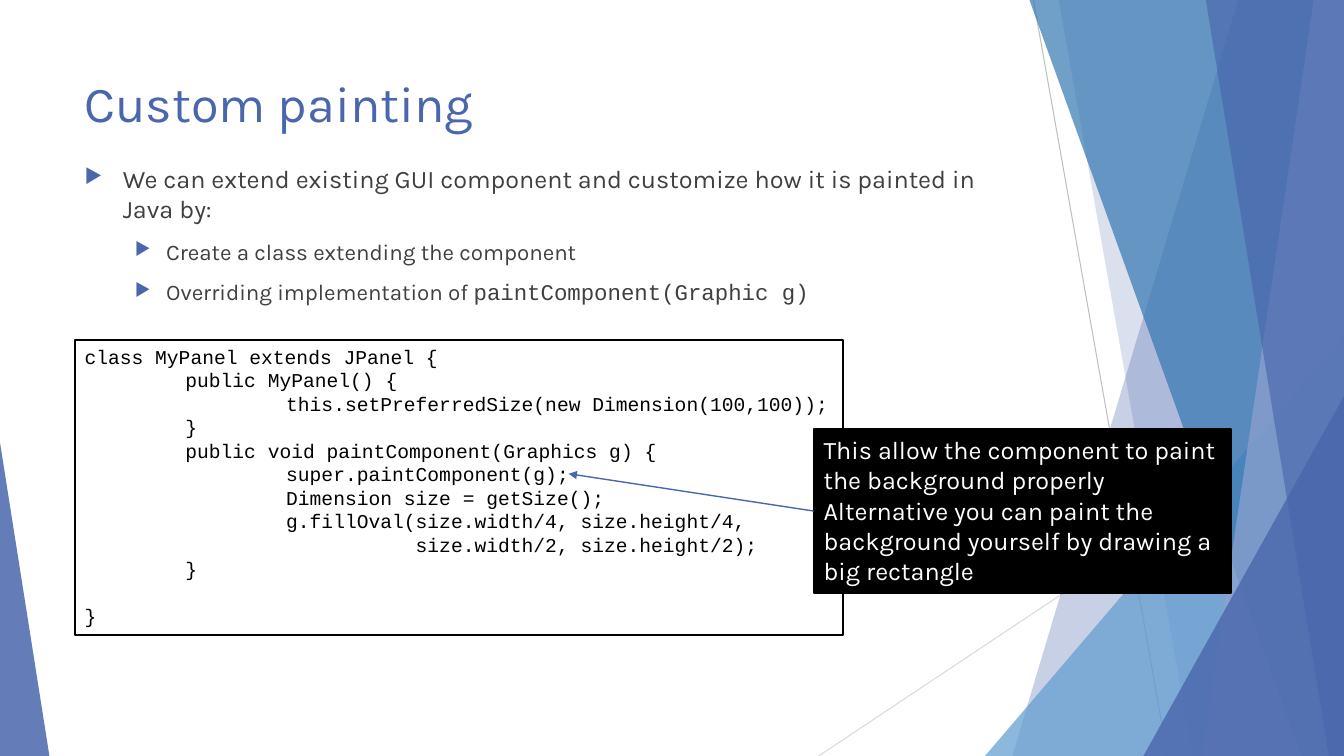
from lxml import etree
from pptx import Presentation
from pptx.dml.color import RGBColor
from pptx.enum.shapes import MSO_CONNECTOR as Connector, MSO_SHAPE as Shape
from pptx.enum.text import MSO_ANCHOR as Anchor, PP_ALIGN as Align
from pptx.oxml.ns import qn
from pptx.util import Inches, Pt

# Content
WIDTH, HEIGHT = 13.33, 7.5
BODY_FONT, CODE_FONT = "Karla", "Courier New"
BLUE, GREY, BLACK, WHITE = "4A66AC", "404040", "000000", "FFFFFF"

TITLE = "Custom painting"
BULLETS = [  # level, [(text, font)]
    (0, [("We can extend existing GUI component and customize how it is painted in Java by:", BODY_FONT)]),
    (1, [("Create a class extending the component", BODY_FONT)]),
    (1, [("Overriding implementation of ", BODY_FONT), ("paintComponent(Graphic g)", CODE_FONT)]),
]
LEVELS = [(0.38, 0.38, 18), (0.81, 0.31, 16)]  # indent, hanging, size
CODE_TABS = [1, 2]  # tab stops
CODE = [
    "class MyPanel extends JPanel {",
    "\tpublic MyPanel() {",
    "\t\tthis.setPreferredSize(new Dimension(100,100));",
    "\t}",
    "\tpublic void paintComponent(Graphics g) {",
    "\t\tsuper.paintComponent(g);",
    "\t\tDimension size = getSize();",
    "\t\tg.fillOval(size.width/4, size.height/4,",
    "\t\t           size.width/2, size.height/2);",
    "\t}",
    "\t",
    "}",
]
CALLOUT = [
    "This allow the component to paint the background properly",
    "Alternative you can paint the background yourself by drawing a big rectangle",
]

# Backdrop: bands reach the right edge, wedges stand on the bottom edge
HAIRLINES = [((10.25, 0), (11.58, HEIGHT), "BFBFBF"), ((WIDTH, 4.03), (8.12, HEIGHT), "D9D9D9")]
FACETS = [  # band: top x, bottom x; wedge: left, width, height, apex
    ("band", (12.28, 10.04), BLUE, 30),
    ("band", (10.5, 11.83), BLUE, 20),
    ("wedge", (9.77, 3.56, 4.17, 1), "629DD1", 72),
    ("band", (10.21, 12.91), "3477B2", 70),
    ("band", (13.03, 11.92), "90A2CF", 70),
    ("band", (11.96, 13.18), BLUE, 65),
    ("wedge", (11.34, 1.99, 3.57, 1), BLUE, 80),
    ("wedge", (0, 0.49, 3.11, 0), BLUE, 85),
]

deck = Presentation()
deck.slide_width, deck.slide_height = Inches(WIDTH), Inches(HEIGHT)
page = deck.slides.add_slide(deck.slide_layouts[6])


def colour(value):
    return RGBColor.from_string(value)


def paint(shape, fill, opacity=100, line=None):
    shape.shadow.inherit = False
    shape.fill.solid()
    shape.fill.fore_color.rgb = colour(fill)
    if opacity < 100:
        tint = shape._element.spPr.find(qn("a:solidFill"))[0]
        etree.SubElement(tint, qn("a:alpha")).set("val", str(opacity * 1000))
    if line:
        shape.line.color.rgb = colour(line)
        shape.line.width = Pt(1.5)
    else:
        shape.line.fill.background()


def add_line(start, end, line, width):
    connector = page.shapes.add_connector(Connector.STRAIGHT, *map(Inches, start + end))
    connector.line.color.rgb = colour(line)
    connector.line.width = Pt(width)
    etree.SubElement(connector._element.spPr, qn("a:effectLst"))
    return connector


def add_span(para, text, *, size, color, font=BODY_FONT):
    span = para.add_run()
    span.text = text
    span.font.name, span.font.size = font, Pt(size)
    span.font.color.rgb = colour(color)


def add_tabs(para, stops):
    tabs = etree.SubElement(para._p.get_or_add_pPr(), qn("a:tabLst"))
    for stop in stops:
        tab = etree.SubElement(tabs, qn("a:tab"))
        tab.set("pos", str(Inches(stop)))
        tab.set("algn", "l")


def write(box, lines, *, wrap=True, tabs=(), **style):
    frame = box.text_frame
    frame.word_wrap, frame.vertical_anchor = wrap, Anchor.TOP
    for index, text in enumerate(lines):
        para = frame.add_paragraph() if index else frame.paragraphs[0]
        para.alignment = Align.LEFT
        if tabs:
            add_tabs(para, tabs)
        add_span(para, text, **style)


def add_bullet(para, indent, hanging):
    props = para._p.get_or_add_pPr()
    props.set("marL", str(Inches(indent)))
    props.set("indent", str(-Inches(hanging)))
    tint = etree.SubElement(props, qn("a:buClr"))
    etree.SubElement(tint, qn("a:srgbClr")).set("val", BLUE)
    etree.SubElement(props, qn("a:buSzPct")).set("val", "80000")
    etree.SubElement(props, qn("a:buChar")).set("char", "▶")


def add_box(left, top, width, height, fill):
    box = page.shapes.add_shape(Shape.RECTANGLE, *map(Inches, (left, top, width, height)))
    paint(box, fill, line=BLACK)
    return box


# Backdrop
for start, end, line in HAIRLINES:
    add_line(start, end, line, 0.75)
for kind, place, fill, opacity in FACETS:
    if kind == "band":
        top_x, bottom_x = place
        corners = [(WIDTH, 0), (WIDTH, HEIGHT), (bottom_x, HEIGHT)]
        outline = page.shapes.build_freeform(Inches(top_x), 0)
        outline.add_line_segments([(Inches(x), Inches(y)) for x, y in corners])
        facet = outline.convert_to_shape()
    else:
        left, width, height, apex = place
        area = map(Inches, (left, HEIGHT - height, width, height))
        facet = page.shapes.add_shape(Shape.ISOSCELES_TRIANGLE, *area)
        facet.adjustments[0] = apex
    paint(facet, fill, opacity)

# Title and bullets
title = page.shapes.add_textbox(*map(Inches, (0.74, 0.67, 9.4, 0.8)))
write(title, [TITLE], size=36, color=BLUE)

body = page.shapes.add_textbox(*map(Inches, (0.74, 1.57, 9.4, 5.04)))
body.text_frame.word_wrap = True
for index, (level, spans) in enumerate(BULLETS):
    para = body.text_frame.add_paragraph() if index else body.text_frame.paragraphs[0]
    indent, hanging, size = LEVELS[level]
    para.level = level
    add_bullet(para, indent, hanging)
    if index:
        para.space_before = Pt(10)
    for text, font in spans:
        add_span(para, text, size=size, color=GREY, font=font)

# Code listing, callout and its arrow
listing = add_box(0.74, 3.37, 7.62, 2.93, WHITE)
write(listing, CODE, wrap=False, tabs=CODE_TABS, size=14, color=BLACK, font=CODE_FONT)

callout = add_box(8.07, 4.26, 4.14, 1.62, BLACK)
write(callout, CALLOUT, size=18, color=WHITE)

arrow = add_line((8.07, 5.07), (5.64, 4.7), BLUE, 1)
arrow.begin_connect(callout, 1)
etree.SubElement(arrow.line._get_or_add_ln(), qn("a:tailEnd")).set("type", "triangle")

deck.save("out.pptx")
